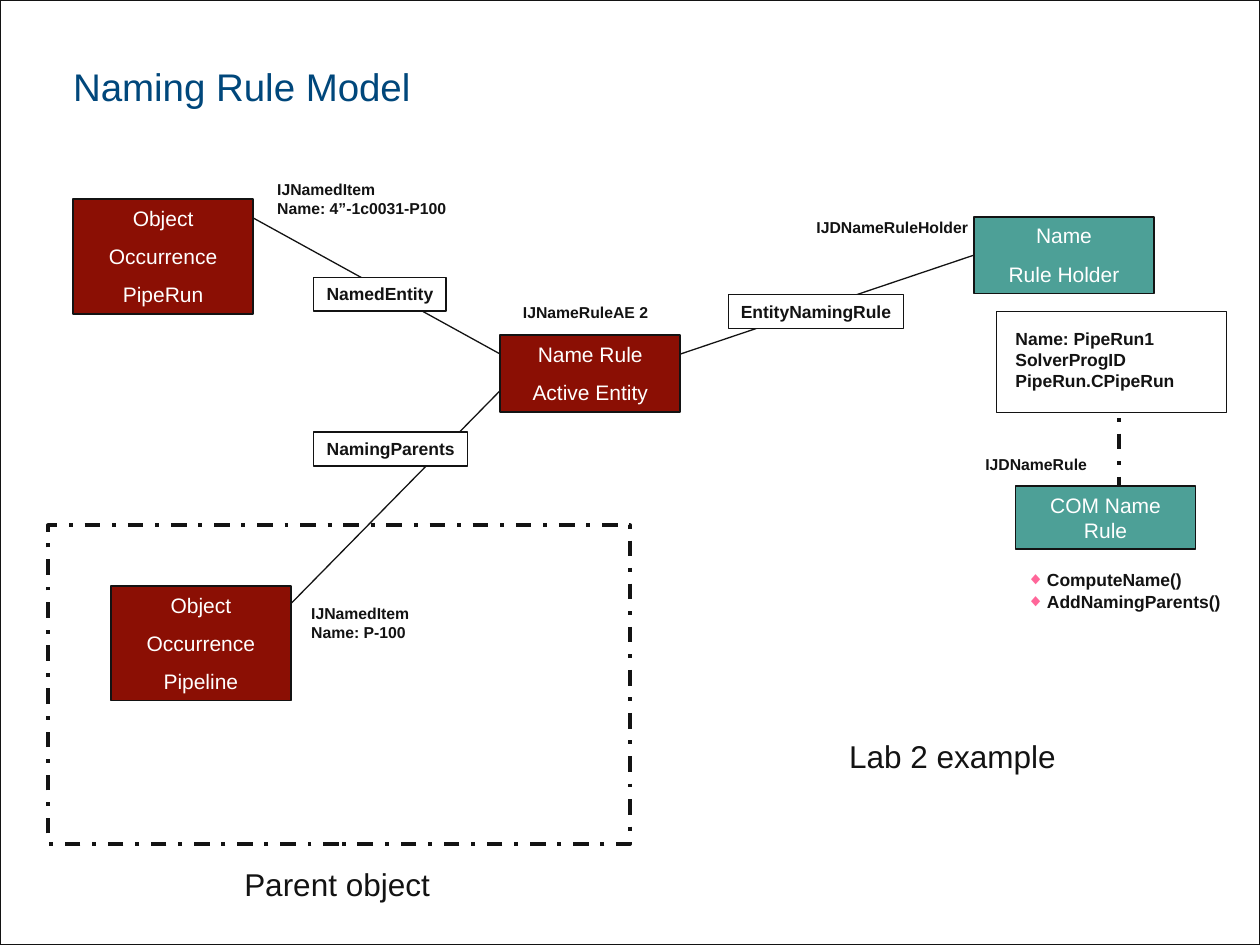
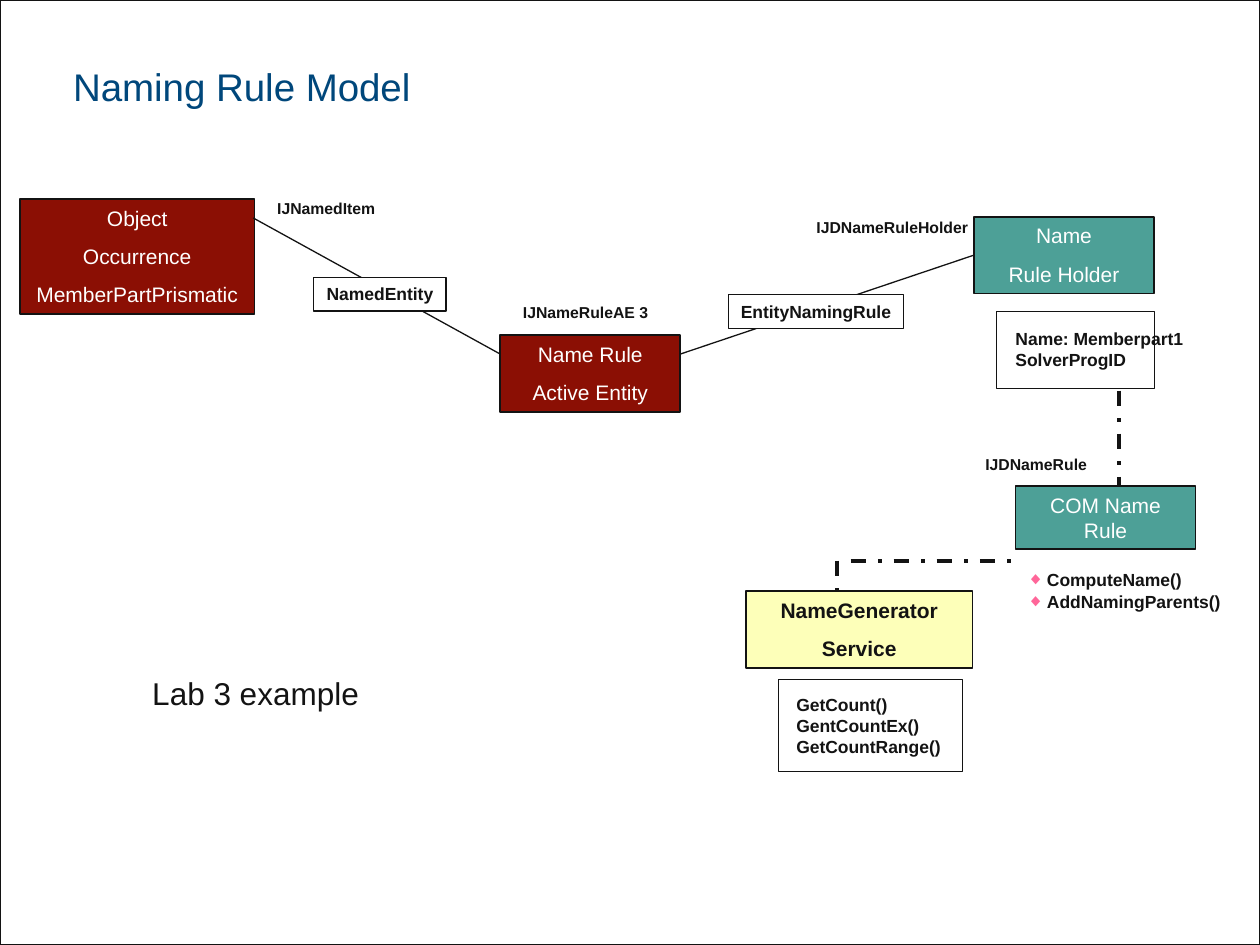
"""Build the two Naming Rule Model slides, one for each lab example."""
from lxml import etree
from pptx import Presentation
from pptx.dml.color import RGBColor
from pptx.enum.dml import MSO_LINE
from pptx.enum.shapes import MSO_CONNECTOR, MSO_SHAPE
from pptx.enum.text import MSO_ANCHOR, MSO_AUTO_SIZE, PP_ALIGN
from pptx.oxml.ns import qn
from pptx.util import Inches, Pt

COLORS = {
    "page": "CED8D9", "white": "FFFFFF", "ink": "131313", "title": "00477B",
    "object": "8B0F04", "rule": "4DA097", "service": "FDFFB9", "bullet": "FF6699",
}
RGB = {name: RGBColor.from_string(value) for name, value in COLORS.items()}
FONT = "Arial"

ENTITY = dict(size=12, bold=False, color="white", outline=1, pad=(0.1, 0.05),
              align=PP_ALIGN.CENTER, space=7.5)
OBJECT = dict(ENTITY, fill="object")
RULE = dict(ENTITY, fill="rule")
SERVICE = dict(ENTITY, fill="service", color="ink", bold=True)
RELATION = dict(size=10, fill="white", outline=0.75, pad=(0.1, 0.05),
                align=PP_ALIGN.CENTER, wrap=False)
CAPTION = dict(size=18, bold=False, pad=(0.1, 0.05))
PANEL = dict(fill="white", outline=0.25)


def put(slide, at, lines=(), size=9, bold=True, color="ink", fill=None, outline=None,
        pad=(0, 0), align=PP_ALIGN.LEFT, space=0, wrap=True):
    """Add a rectangle or a plain text box with one paragraph per line."""
    place = [Inches(length) for length in at]
    if outline:
        box = slide.shapes.add_shape(MSO_SHAPE.RECTANGLE, *place)
        box.shadow.inherit = False
        box.line.color.rgb = RGB["ink"]
        box.line.width = Pt(outline)
    else:
        box = slide.shapes.add_textbox(*place)
    if fill:
        box.fill.solid()
        box.fill.fore_color.rgb = RGB[fill]
    else:
        box.fill.background()
    frame = box.text_frame
    frame.word_wrap = wrap
    frame.vertical_anchor = MSO_ANCHOR.TOP
    frame.margin_left = frame.margin_right = Inches(pad[0])
    frame.margin_top = frame.margin_bottom = Inches(pad[1])
    for index, line in enumerate(lines):
        paragraph = frame.add_paragraph() if index else frame.paragraphs[0]
        paragraph.text = line
        paragraph.alignment = align
        paragraph.space_before = Pt(space if index else 0)
        paragraph.font.name = FONT
        paragraph.font.size = Pt(size)
        paragraph.font.bold = bold
        paragraph.font.color.rgb = RGB[color]
    return box


def link(slide, start, end, dashed=False):
    """Add a thin solid line or a thick dash-dot line."""
    line = slide.shapes.add_connector(
        MSO_CONNECTOR.STRAIGHT, *[Inches(length) for length in (*start, *end)])
    line.line.color.rgb = RGB["ink"]
    line.line.width = Pt(2.25 if dashed else 0.75)
    if dashed:
        line.line.dash_style = MSO_LINE.DASH_DOT
    etree.SubElement(line._element.spPr, qn("a:effectLst"))
    return line


prs = Presentation()
prs.slide_width, prs.slide_height = Inches(10), Inches(7.5)
prs.slide_master.background.fill.solid()
prs.slide_master.background.fill.fore_color.rgb = RGB["page"]

layout = prs.slide_layouts[5]
layout_title = layout.placeholders[0]
layout_title.left, layout_title.top = Inches(0.58), Inches(0.13)
layout_title.width, layout_title.height = Inches(6.06), Inches(0.74)

labs = [
    dict(number=2, occurrence=(0.58, 1.43), kind="PipeRun", item_top=1.43,
         item=["IJNamedItem", "Name: 4”-1c0031-P100"], panel=(1.82, 0.8),
         holder=["Name: PipeRun1", "SolverProgID", "PipeRun.CPipeRun"],
         caption=(6.64, 5.8, 2.68, 0.4)),
    dict(number=3, occurrence=(0.16, 1.86), kind="MemberPartPrismatic", item_top=1.58,
         item=["IJNamedItem"], panel=(1.25, 0.61),
         holder=["Name: Memberpart1", "SolverProgID"],
         caption=(1.11, 5.3, 2.09, 0.4)),
]

slides = []
for lab in labs:
    slide = prs.slides.add_slide(layout)
    slides.append(slide)

    title = slide.shapes.title.text_frame
    title.text = "Naming Rule Model"
    title.auto_size = MSO_AUTO_SIZE.NONE
    title.vertical_anchor = MSO_ANCHOR.BOTTOM
    title.margin_left = title.margin_right = title.margin_top = title.margin_bottom = 0
    heading = title.paragraphs[0]
    heading.alignment = PP_ALIGN.LEFT
    heading.font.name = FONT
    heading.font.size = Pt(22)
    heading.font.color.rgb = RGB["title"]

    left, width = lab["occurrence"]
    put(slide, (left, 1.58, width, 0.91), ["Object", "Occurrence", lab["kind"]], **OBJECT)
    put(slide, (3.97, 2.66, 1.43, 0.61), ["Name Rule", "Active Entity"], **OBJECT)
    rule_holder = put(slide, (7.73, 1.72, 1.43, 0.61), ["Name", "Rule Holder"], **RULE)
    put(slide, (8.06, 3.86, 1.43, 0.5), ["COM Name Rule"], **RULE)

    put(slide, (2.2, lab["item_top"], 1.95, 0.3), lab["item"])
    put(slide, (4.15, 2.4, 1.25, 0.15), [f"IJNameRuleAE {lab['number']}"])
    put(slide, (6.48, 1.73, 1.25, 0.15), ["IJDNameRuleHolder"])
    put(slide, (7.82, 3.61, 1.25, 0.15), ["IJDNameRule"])

    link(slide, (3.97, 2.81), (2.01, 1.73))
    put(slide, (2.49, 2.2, 1.05, 0.27), ["NamedEntity"], **RELATION)
    naming_link = link(slide, (5.4, 2.81), (7.73, 2.02))
    naming_link.end_connect(rule_holder, 1)
    put(slide, (5.78, 2.34, 1.39, 0.27), ["EntityNamingRule"], **RELATION)

    methods = put(slide, (8.06, 4.44, 1.67, 0.5), ["ComputeName()", "AddNamingParents()"],
                  size=10, fill="white", pad=(0.09, 0.08))
    methods.text_frame.margin_right = 0
    for paragraph in methods.text_frame.paragraphs:
        properties = paragraph._p.get_or_add_pPr()
        properties.set("marL", str(Inches(0.16)))
        properties.set("indent", str(-Inches(0.16)))
        bullet_color = etree.Element(qn("a:buClr"))
        etree.SubElement(bullet_color, qn("a:srgbClr"), val=COLORS["bullet"])
        bullet_font = etree.Element(qn("a:buFont"), typeface=FONT)
        bullet_sign = etree.Element(qn("a:buChar"), char="◆")
        for element in (bullet_color, bullet_font, bullet_sign):
            properties.insert_element_before(element, "a:tabLst", "a:defRPr", "a:extLst")

    link(slide, (8.88, 3.1), (8.88, 3.86), dashed=True)
    put(slide, (7.91, 2.47, *lab["panel"]), **PANEL)
    put(slide, (8.06, 2.6, 1.43, 0.5), lab["holder"], size=10)
    put(slide, lab["caption"], [f"Lab {lab['number']} example"], **CAPTION)

pipe_slide, member_slide = slides

page_frame = put(pipe_slide, (0, 0, 10, 7.5), fill="white", outline=0.75)
layout.shapes._spTree.insert(2, page_frame._element)

parent_area = put(pipe_slide, (0.38, 4.17, 4.62, 2.53), outline=2.25)
parent_area.line.dash_style = MSO_LINE.DASH_DOT
put(pipe_slide, (1.84, 6.82, 1.91, 0.4), ["Parent object"], **CAPTION)
put(pipe_slide, (0.88, 4.65, 1.43, 0.91), ["Object", "Occurrence", "Pipeline"], **OBJECT)
put(pipe_slide, (2.47, 4.79, 1, 0.3), ["IJNamedItem", "Name: P-100"])
link(pipe_slide, (2.31, 4.79), (3.97, 3.1))
put(pipe_slide, (2.49, 3.43, 1.22, 0.27), ["NamingParents"], **RELATION)

link(member_slide, (6.64, 4.45), (6.64, 4.68), dashed=True)
link(member_slide, (6.75, 4.45), (8.06, 4.45), dashed=True)
put(member_slide, (5.92, 4.69, 1.8, 0.61), ["NameGenerator", "Service"], **SERVICE)
put(member_slide, (6.18, 5.39, 1.46, 0.73), **PANEL)
put(member_slide, (6.32, 5.51, 1.17, 0.5),
    ["GetCount()", "GentCountEx()", "GetCountRange()"], size=10)

prs.save("out.pptx")
